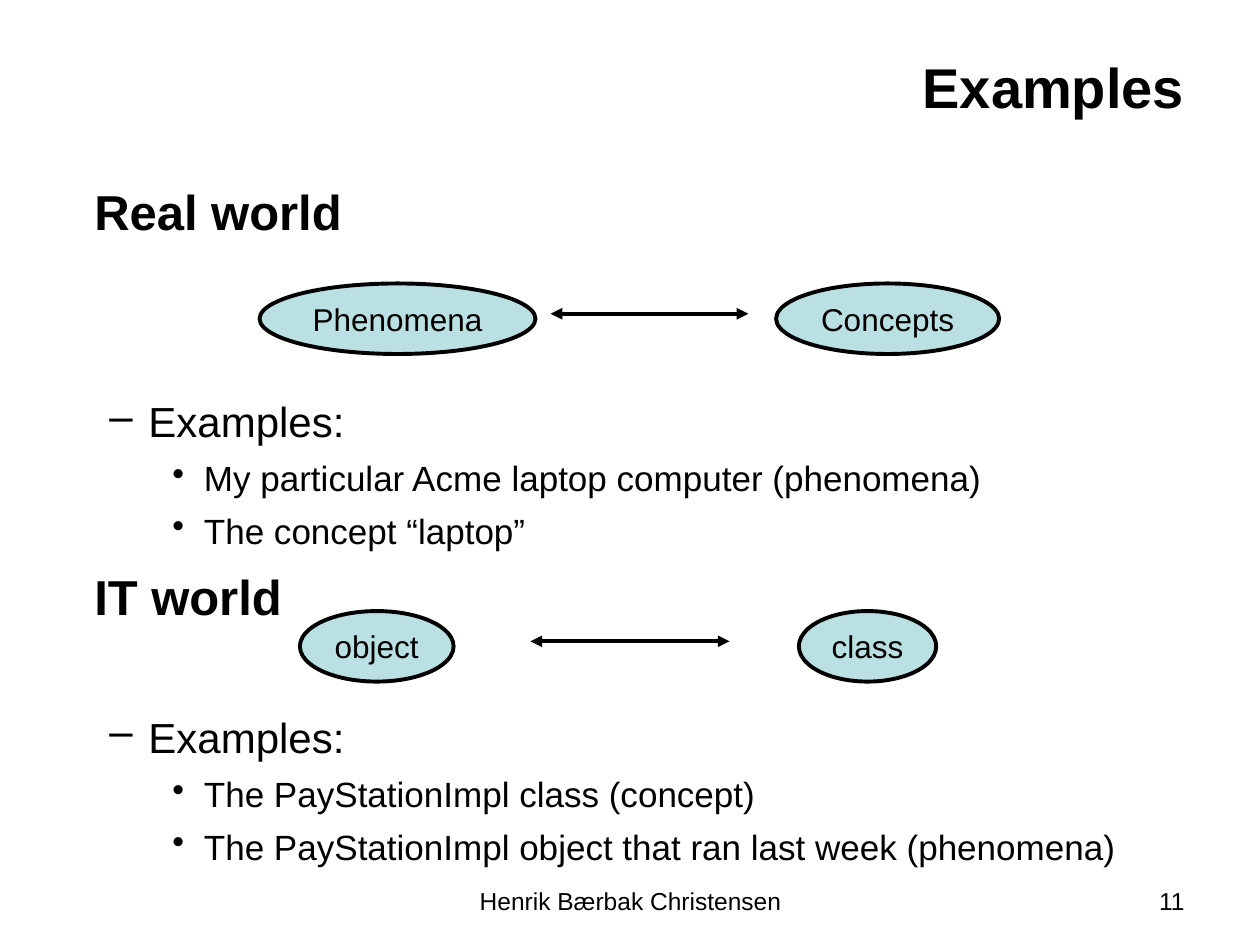
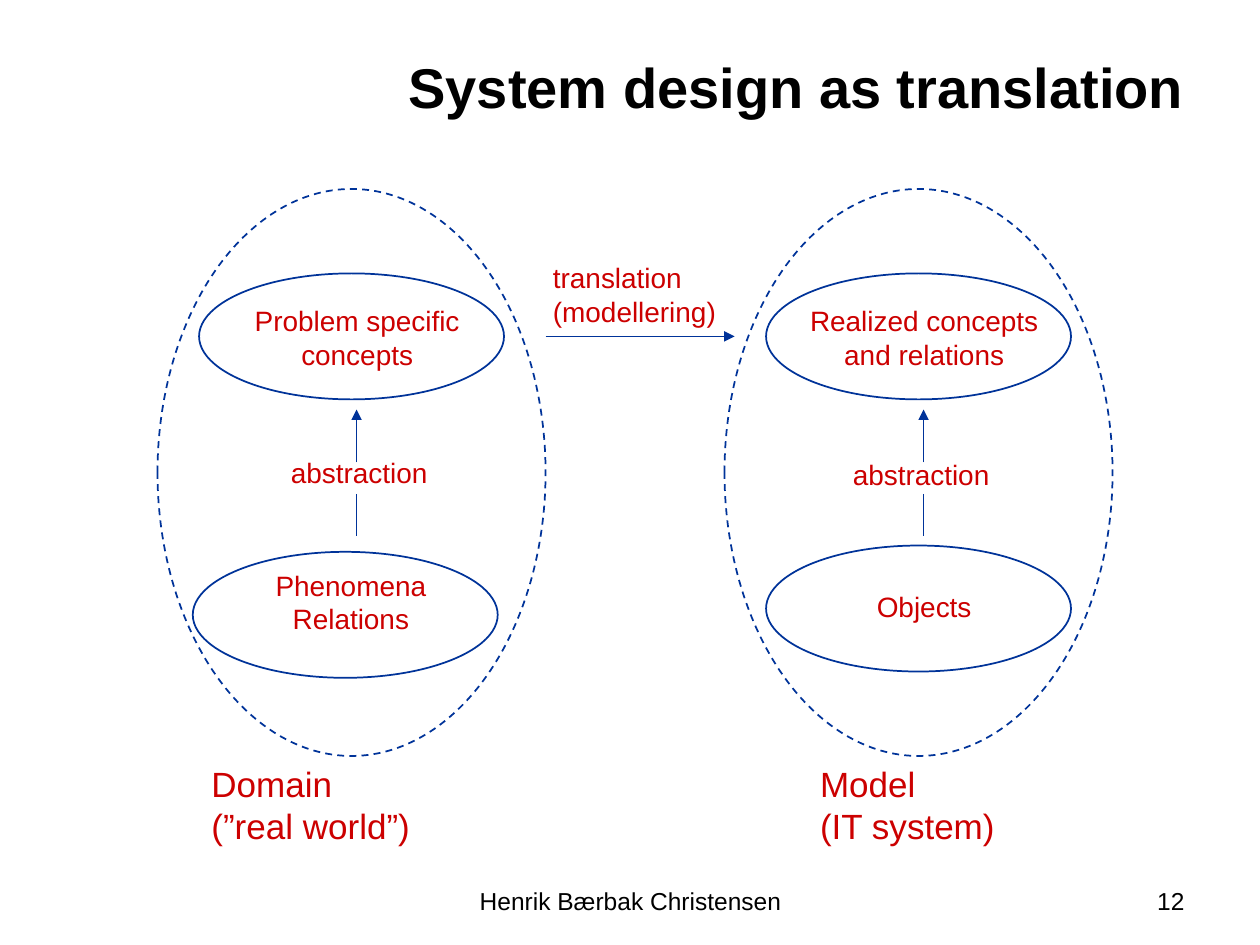
from dataclasses import dataclass

import lxml.etree
import pptx
import pptx.dml.color
import pptx.enum.dml
import pptx.enum.shapes
import pptx.enum.text
import pptx.oxml.ns
import pptx.util

SCALE = 9144
FONT = "Arial"
HUES = {"ink": "000000", "pale": "BBE0E3", "navy": "003399", "red": "CC0000"}
ALIGN = pptx.enum.text.PP_ALIGN
ANCHOR = pptx.enum.text.MSO_ANCHOR
SHAPE = pptx.enum.shapes.MSO_SHAPE
DASH = pptx.enum.dml.MSO_LINE.DASH


@dataclass(frozen=True)
class Box:
    left: int
    top: int
    width: int
    height: int

    def emu(self) -> list[int]:
        return [px(n) for n in (self.left, self.top, self.width, self.height)]


@dataclass(frozen=True)
class Style:
    size: int
    hue: str = "ink"
    bold: bool = False
    align: ALIGN = ALIGN.LEFT
    anchor: ANCHOR = ANCHOR.TOP
    wrap: bool = True


@dataclass(frozen=True)
class Oval:
    box: Box
    text: str = ""
    fill: str = ""
    hue: str = "navy"
    weight: float = 1
    dash: bool = False


@dataclass(frozen=True)
class Line:
    start: tuple[int, int]
    end: tuple[int, int]
    hue: str = "navy"
    weight: float = 1
    heads: tuple[str, ...] = ()


@dataclass(frozen=True)
class Level:
    size: int
    left: int
    hang: int
    mark: str = ""
    bold: bool = False


@dataclass(frozen=True)
class Point:
    level: int
    text: str
    gap: float


@dataclass(frozen=True)
class World:
    left: int
    high: str
    low: str
    low_box: Box
    low_text: Box
    link_box: Box
    name: str
    name_box: Box


TITLE = Style(32, bold=True, align=ALIGN.RIGHT, anchor=ANCHOR.MIDDLE)
FOOT = Style(14, align=ALIGN.CENTER)
PAGE = Style(14, align=ALIGN.RIGHT)
NODE = Style(18, align=ALIGN.CENTER, anchor=ANCHOR.MIDDLE, wrap=False)
LABEL = Style(16, "red", align=ALIGN.CENTER)
LINK = Style(16, "red", wrap=False)
NAME = Style(20, "red", wrap=False)
LEVELS = (
    Level(28, 38, 0, bold=True),
    Level(24, 81, 31, "–"),
    Level(20, 125, 25, "•"),
)
POINTS = (
    Point(0, "Real world", 0),
    Point(1, "Examples:", 89),
    Point(2, "My particular Acme laptop computer (phenomena)", 6),
    Point(2, "The concept “laptop”", 6),
    Point(0, "IT world", 8.5),
    Point(1, "Examples:", 49.5),
    Point(2, "The PayStationImpl class (concept)", 6),
    Point(2, "The PayStationImpl object that ran last week (phenomena)", 6),
)
PAIRS = (
    (Box(206, 225, 219, 56), "Phenomena"),
    (Box(616, 225, 177, 56), "Concepts"),
    (Box(238, 485, 122, 56), "object"),
    (Box(634, 485, 109, 56), "class"),
)
WORLDS = (
    World(125, "Problem specific\nconcepts", "Phenomena\nRelations",
          Box(153, 438, 242, 100), Box(170, 446, 217, 64),
          Box(221, 357, 128, 37),
          "Domain\n(”real world”)", Box(158, 600, 177, 77)),
    World(575, "Realized concepts\nand relations", "Objects",
          Box(608, 433, 242, 100), Box(625, 463, 217, 37),
          Box(667, 358, 128, 37),
          "Model\n(IT system)", Box(641, 600, 159, 77)),
)


def px(count: int) -> int:
    return count * SCALE


def tint(name: str) -> pptx.dml.color.RGBColor:
    return pptx.dml.color.RGBColor.from_string(HUES[name])


def apply(target, values: dict) -> None:
    for key, value in values.items():
        setattr(target, key, value)


def ink(para, size: int, hue: str, bold: bool) -> None:
    for run in para.runs:
        apply(run.font, {"name": FONT, "size": pptx.util.Pt(size), "bold": bold})
        run.font.color.rgb = tint(hue)


def write(shape, text: str, style: Style) -> None:
    frame = shape.text_frame
    apply(frame, {
        "text": text,
        "word_wrap": style.wrap,
        "auto_size": pptx.enum.text.MSO_AUTO_SIZE.NONE,
        "vertical_anchor": style.anchor,
    })
    for para in frame.paragraphs:
        para.alignment = style.align
        ink(para, style.size, style.hue, style.bold)


def label(slide, box: Box, text: str, style: Style) -> None:
    write(slide.shapes.add_textbox(*box.emu()), text, style)


def stroke(line, hue: str, weight: float) -> None:
    line.color.rgb = tint(hue)
    line.width = pptx.util.Pt(weight)


def draw_oval(slide, oval: Oval) -> None:
    shape = slide.shapes.add_shape(SHAPE.OVAL, *oval.box.emu())
    shape.shadow.inherit = False
    if oval.fill:
        shape.fill.solid()
        shape.fill.fore_color.rgb = tint(oval.fill)
    else:
        shape.fill.background()
    stroke(shape.line, oval.hue, oval.weight)
    if oval.dash:
        shape.line.dash_style = DASH
    if oval.text:
        write(shape, oval.text, NODE)


def draw_line(slide, line: Line) -> None:
    ends = [px(n) for n in line.start + line.end]
    shape = slide.shapes.add_connector(
        pptx.enum.shapes.MSO_CONNECTOR.STRAIGHT, *ends)
    stroke(shape.line, line.hue, line.weight)
    props = shape.element.spPr
    edge = props.find(pptx.oxml.ns.qn("a:ln"))
    for head in line.heads:
        tip = lxml.etree.SubElement(edge, pptx.oxml.ns.qn(f"a:{head}"))
        tip.set("type", "triangle")
    lxml.etree.SubElement(props, pptx.oxml.ns.qn("a:effectLst"))


def list_points(slide, box: Box, points: tuple[Point, ...]) -> None:
    frame = slide.shapes.add_textbox(*box.emu()).text_frame
    frame.word_wrap = True
    for rank, point in enumerate(points):
        para = frame.add_paragraph() if rank else frame.paragraphs[0]
        level = LEVELS[point.level]
        apply(para, {"text": point.text, "level": point.level})
        if point.gap:
            para.space_before = pptx.util.Pt(point.gap)
        props = para._p.get_or_add_pPr()
        props.set("marL", str(px(level.left)))
        props.set("indent", str(-px(level.hang)))
        if level.mark:
            mark = lxml.etree.SubElement(props, pptx.oxml.ns.qn("a:buChar"))
            mark.set("char", level.mark)
        ink(para, level.size, "ink", level.bold)


def add_slide(deck, title: str, page: int):
    slide = deck.slides.add_slide(deck.slide_layouts[5])
    head = slide.shapes.title
    places = Box(50, 30, 900, 77).emu()
    apply(head, dict(zip(("left", "top", "width", "height"), places)))
    write(head, title, TITLE)
    label(slide, Box(342, 698, 317, 37), "Henrik Bærbak Christensen", FOOT)
    label(slide, Box(717, 698, 233, 37), str(page), PAGE)
    return slide


def show_pairs(deck) -> None:
    slide = add_slide(deck, "Examples", 11)
    list_points(slide, Box(27, 139, 945, 545), POINTS)
    for box, text in PAIRS:
        draw_oval(slide, Oval(box, text, "pale", "ink", 2.25))
    for left, right, row in ((437, 594, 249), (421, 579, 509)):
        draw_line(slide, Line((left, row), (right, row), "ink", 2.25,
                              ("headEnd", "tailEnd")))


def draw_world(slide, world: World) -> None:
    left = world.left
    mid = left + 158
    draw_oval(slide, Oval(Box(left, 150, 308, 450), dash=True))
    for box in (Box(left + 33, 217, 242, 100), world.low_box):
        draw_oval(slide, Oval(box))
    draw_line(slide, Line((mid, 367), (mid, 325), heads=("tailEnd",)))
    draw_line(slide, Line((mid, 392), (mid, 425)))
    label(slide, Box(left + 50, 236, 217, 64), world.high, LABEL)
    label(slide, world.low_text, world.low, LABEL)
    label(slide, world.link_box, "abstraction", LINK)
    label(slide, world.name_box, world.name, NAME)


def show_worlds(deck) -> None:
    slide = add_slide(deck, "System design as translation", 12)
    for world in WORLDS:
        draw_world(slide, world)
    draw_line(slide, Line((433, 267), (583, 267), heads=("tailEnd",)))
    label(slide, Box(429, 202, 149, 64), "translation\n(modellering)", LINK)


def main() -> None:
    deck = pptx.Presentation()
    apply(deck, {"slide_width": px(1000), "slide_height": px(750)})
    show_pairs(deck)
    show_worlds(deck)
    deck.save("out.pptx")


if __name__ == "__main__":
    main()
